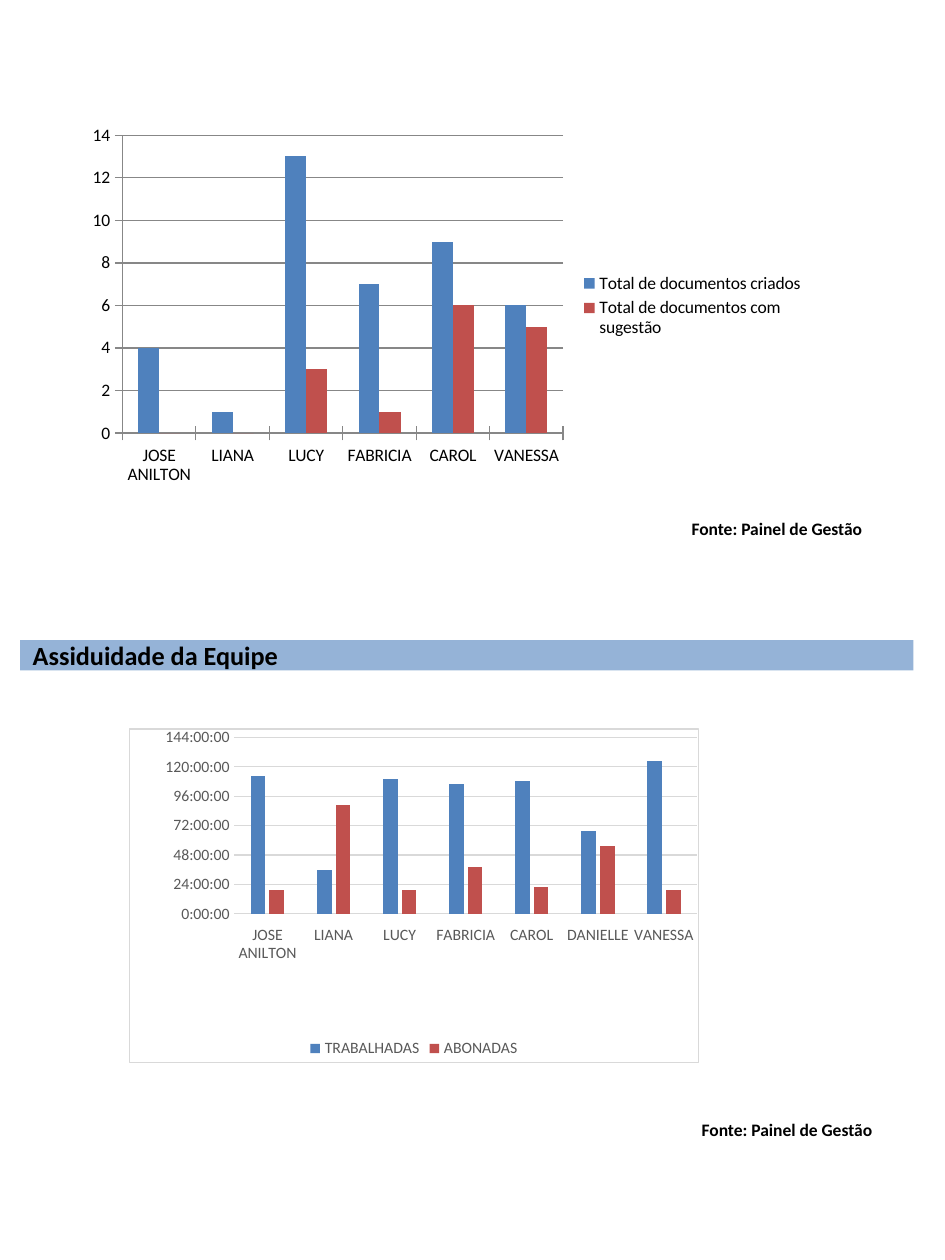
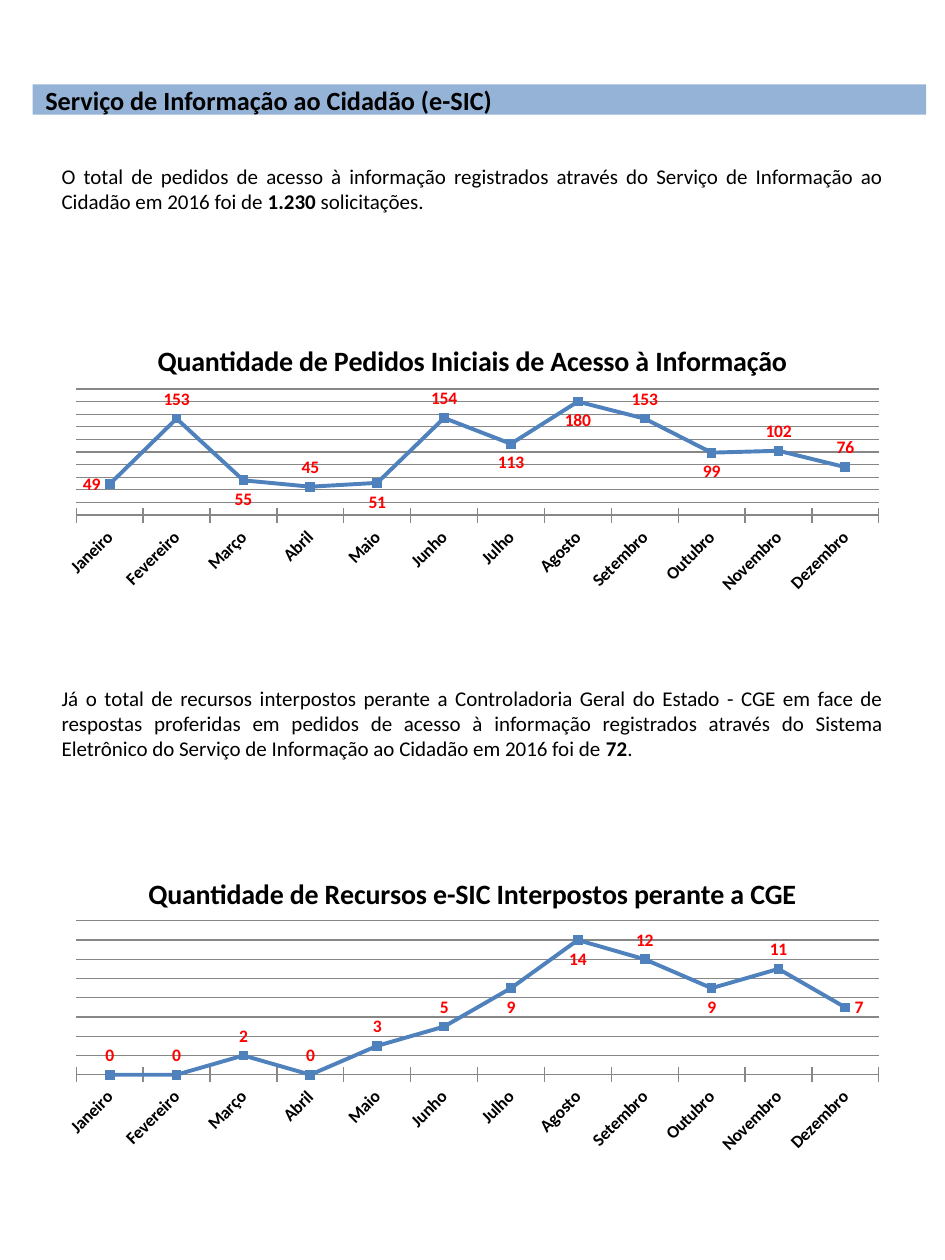
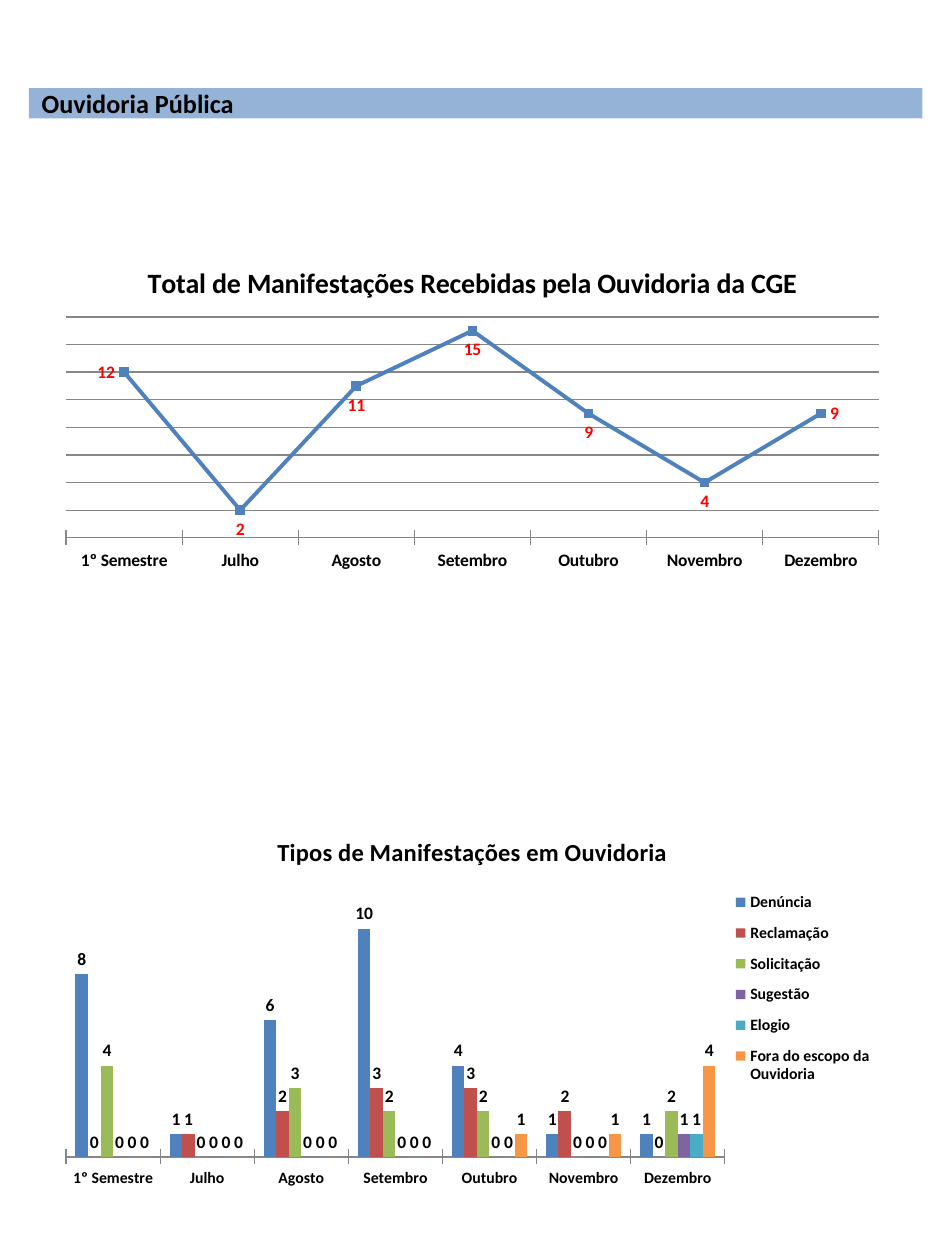
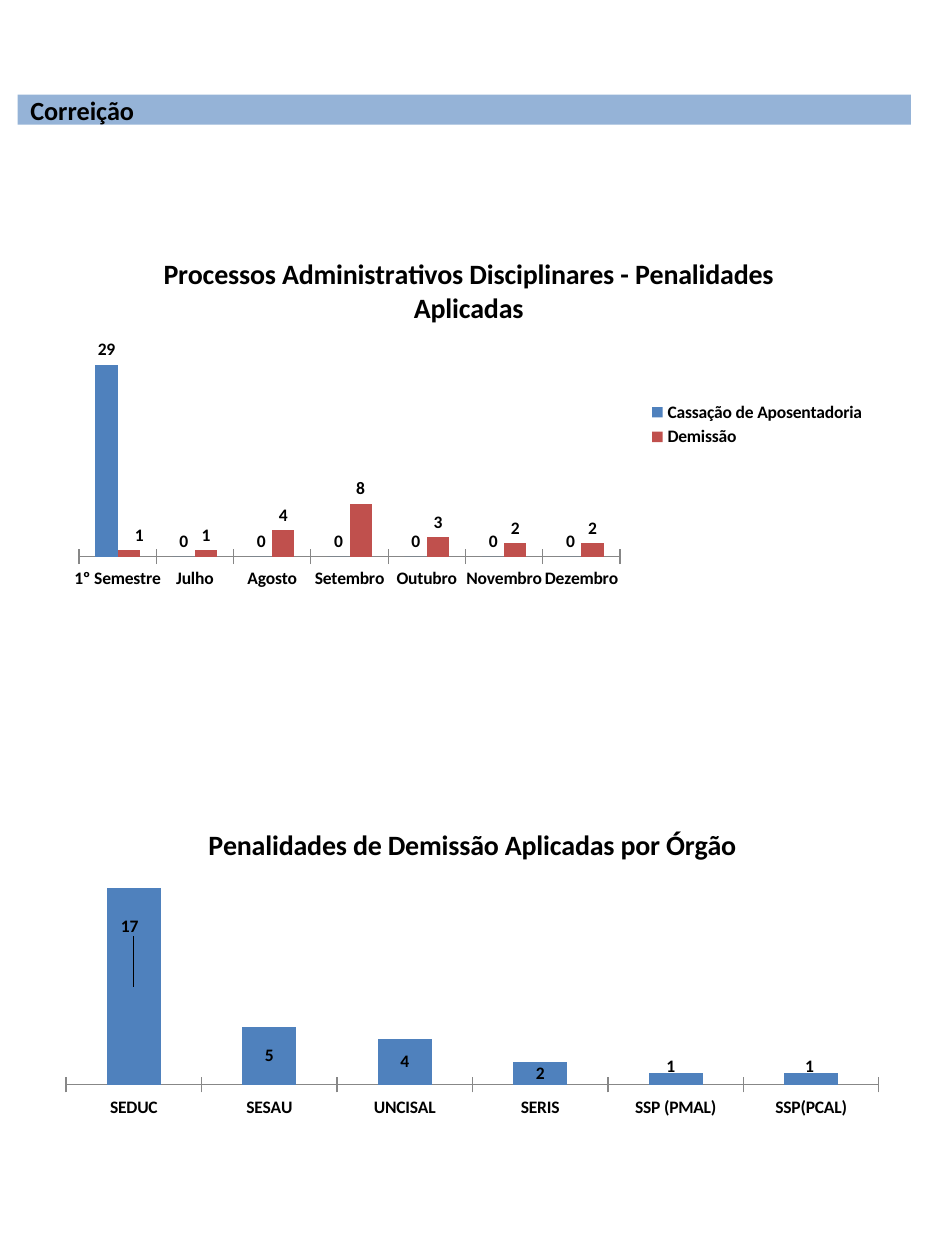
from lxml import etree
from pptx import Presentation
from pptx.chart.data import CategoryChartData
from pptx.dml.color import RGBColor
from pptx.enum.chart import (XL_CHART_TYPE, XL_LABEL_POSITION, XL_LEGEND_POSITION,
                             XL_MARKER_STYLE, XL_TICK_LABEL_POSITION, XL_TICK_MARK)
from pptx.enum.text import MSO_ANCHOR, MSO_AUTO_SIZE, PP_ALIGN
from pptx.oxml import parse_xml
from pptx.oxml.ns import nsdecls, qn
from pptx.util import Inches, Pt

COLUMNS = XL_CHART_TYPE.COLUMN_CLUSTERED
STACKED_COLUMNS = XL_CHART_TYPE.COLUMN_STACKED
LINE = XL_CHART_TYPE.LINE_MARKERS
STACKED_LINE = XL_CHART_TYPE.LINE_MARKERS_STACKED
RIGHT, BOTTOM = XL_LEGEND_POSITION.RIGHT, XL_LEGEND_POSITION.BOTTOM
LABEL_SIDES = {"A": XL_LABEL_POSITION.ABOVE, "B": XL_LABEL_POSITION.BELOW,
               "L": XL_LABEL_POSITION.LEFT, "R": XL_LABEL_POSITION.RIGHT}
OUTSIDE_END, CENTER = XL_LABEL_POSITION.OUTSIDE_END, XL_LABEL_POSITION.CENTER
CROSS, NO_TICK = XL_TICK_MARK.CROSS, XL_TICK_MARK.NONE
LOW = XL_TICK_LABEL_POSITION.LOW
SQUARE = XL_MARKER_STYLE.SQUARE

FONT = "Calibri"
COLORS = {"band": "95B3D7", "text": "000000", "label": "FF0000", "axis": "878787",
          "soft_line": "D9D9D9", "soft_text": "595959", "white": "FFFFFF"}
SERIES_COLORS = ["4F81BD", "C0504D", "9BBB59", "8064A2", "4BACC6", "F79646"]

SLIDE_W, SLIDE_H = 7.5, 10
BAND_W, BAND_H = 7.09, 0.24
LEFT, WIDTH = 0.39, 6.72  # main column of text and charts

# ---- Content ----
MONTHS = ["Janeiro", "Fevereiro", "Março", "Abril", "Maio", "Junho", "Julho",
          "Agosto", "Setembro", "Outubro", "Novembro", "Dezembro"]
PERIODS = ["1º Semestre"] + MONTHS[6:]
TEAM = ["JOSE ANILTON", "LIANA", "LUCY", "FABRICIA", "CAROL", "VANESSA"]
SOURCE = [("Fonte: Painel de Gestão", True)]
REQUESTS = "Quantidade de Pedidos Iniciais de Acesso à Informação"
APPEALS = "Quantidade de Recursos e-SIC Interpostos perante a CGE"
RECEIVED = "Total de Manifestações Recebidas pela Ouvidoria da CGE"
DISMISSALS = "Penalidades de Demissão Aplicadas por Órgão"

# Plot areas are shares of the chart: left, top, width, height.
SLIDES = [
    {"title": "Assiduidade da Equipe", "band": (0.16, 5.08),
     "sources": [(5.39, 4.06), (5.47, 8.83)],
     "charts": [
         {"kind": COLUMNS, "at": (0.62, 0.94, 5.86, 2.97), "cats": TEAM,
          "series": {"Total de documentos criados": [4, 1, 13, 7, 9, 6],
                     "Total de documentos com sugestão": [0, 0, 3, 1, 6, 5]},
          "scale": (14, 2), "plot": (0.06, 0.045, 0.597, 0.796),
          "show_values": True, "grid": True, "legend": RIGHT},
         {"kind": COLUMNS, "at": (1.02, 5.78, 4.53, 2.66),
          "cats": TEAM[:5] + ["DANIELLE"] + TEAM[5:],
          "series": {"TRABALHADAS": [4.7, 1.5, 4.6, 4.4, 4.5, 2.8, 5.2],
                     "ABONADAS": [0.8, 3.7, 0.8, 1.6, 0.9, 2.3, 0.8]},
          "scale": (6, 1), "plot": (0.185, 0.025, 0.812, 0.529),
          "show_values": True, "grid": True, "legend": BOTTOM, "legend_size": 9,
          "cat_size": 9, "format": "[h]:mm:ss;@", "gap": (219, -27), "soft": True},
     ]},
    {"title": "Serviço de Informação ao Cidadão (e-SIC)", "band": (0.26, 0.67),
     "texts": [
         (1.25, 0.5, [("O total de pedidos de acesso à informação registrados através do "
                       "Serviço de Informação ao Cidadão em 2016 foi de ", False),
                      ("1.230", True), (" solicitações.", False)]),
         (5.39, 0.71, [("Já o total de recursos interpostos perante a Controladoria Geral "
                        "do Estado - CGE em face de respostas proferidas em pedidos de "
                        "acesso à informação registrados através do Sistema Eletrônico do "
                        "Serviço de Informação ao Cidadão em 2016 foi de ", False),
                       ("72", True), (".", False)]),
     ],
     "charts": [
         {"kind": STACKED_LINE, "at": (LEFT, 2.58, WIDTH, 2.19), "cats": MONTHS,
          "title": REQUESTS, "scale": (200, 20), "plot": (0.032, 0.232, 0.948, 0.457),
          "series": {REQUESTS: [49, 153, 55, 45, 51, 154, 113, 180, 153, 99, 102, 76]},
          "sides": "LABABABBABAA", "grid": True, "cat_bold": True, "slanted": True},
         {"kind": LINE, "at": (LEFT, 6.8, WIDTH, 2.42), "cats": MONTHS,
          "title": APPEALS, "scale": (16, 2), "plot": (0.032, 0.21, 0.948, 0.505),
          "series": {APPEALS: [0, 0, 2, 0, 3, 5, 9, 14, 12, 9, 11, 7]},
          "sides": "AAAAAABBABAR", "grid": True, "cat_bold": True, "slanted": True},
     ]},
    {"title": "Ouvidoria Pública", "band": (0.23, 0.7),
     "charts": [
         {"kind": LINE, "at": (LEFT, 1.95, WIDTH, 2.63), "cats": PERIODS,
          "title": RECEIVED, "scale": (16, 2), "plot": (0.02, 0.215, 0.96, 0.667),
          "series": {RECEIVED: [12, 2, 11, 15, 9, 4, 9]},
          "sides": "LBBBBBR", "grid": True, "cat_bold": True},
         {"kind": COLUMNS, "at": (LEFT, 6.48, WIDTH, 3), "cats": PERIODS,
          "title": "Tipos de Manifestações em Ouvidoria", "title_size": 14,
          "scale": (12, 2), "plot": (0.02, 0.176, 0.778, 0.725),
          "series": {"Denúncia": [8, 1, 6, 10, 4, 1, 1],
                     "Reclamação": [0, 1, 2, 3, 3, 2, 0],
                     "Solicitação": [4, 0, 3, 2, 2, 0, 2],
                     "Sugestão": [0, 0, 0, 0, 0, 0, 1],
                     "Elogio": [0, 0, 0, 0, 0, 0, 1],
                     "Fora do escopo da Ouvidoria": [0, 0, 0, 0, 1, 1, 4]},
          "labels": OUTSIDE_END, "cat_size": 9, "cat_bold": True, "legend": RIGHT,
          "legend_size": 9, "legend_bold": True, "legend_at": (0.8, 0.17, 0.18, 0.57)},
     ]},
    {"title": "Correição", "band": (0.14, 0.75),
     "charts": [
         {"kind": COLUMNS, "at": (0.47, 1.87, 6.5, 3), "cats": PERIODS,
          "title": "Processos Administrativos Disciplinares - Penalidades Aplicadas",
          "scale": (35, 5), "plot": (0.024, 0.236, 0.661, 0.614),
          "series": {"Cassação de Aposentadoria": [29, 0, 0, 0, 0, 0, 0],
                     "Demissão": [1, 1, 4, 8, 3, 2, 2]},
          "labels": OUTSIDE_END, "shifts": {(1, 0): (0.013, 0)},
          "cat_bold": True, "legend": RIGHT, "legend_bold": True},
         {"kind": STACKED_COLUMNS, "at": (LEFT, 6.41, WIDTH, 2.51),
          "cats": ["SEDUC", "SESAU", "UNCISAL", "SERIS", "SSP (PMAL)", "SSP(PCAL)"],
          "title": DISMISSALS, "scale": (18, 2), "plot": (0.02, 0.219, 0.96, 0.658),
          "series": {DISMISSALS: [17, 5, 4, 2, 1, 1]},
          "labels": CENTER, "gap": (150, 100), "cat_bold": True,
          "shifts": {(0, 0): (-0.005, -0.19), (0, 4): (-0.006, -0.04),
                     (0, 5): (-0.002, -0.04)}},
     ]},
]


# ---- Helpers ----
def rgb(name):
    return RGBColor.from_string(COLORS.get(name, name))


def style(font, size, bold=False, color="text"):
    font.name, font.size, font.bold = FONT, Pt(size), bold
    font.color.rgb = rgb(color)


def place(shape, left, top, width, height):
    shape.left, shape.top = Inches(left), Inches(top)
    shape.width, shape.height = Inches(width), Inches(height)


def manual_layout(parent, sizes, inner=False, edge=True):
    """Give a chart part a manual layout, in shares of the chart."""
    for old in parent.findall(qn("c:layout")):
        parent.remove(old)
    layout = parse_xml(f"<c:layout {nsdecls('c')}><c:manualLayout/></c:layout>")
    values = [("layoutTarget", "inner")] if inner else []
    if edge:
        values += [("xMode", "edge"), ("yMode", "edge")]
    values += zip("xywh", sizes)
    for tag, value in values:
        etree.SubElement(layout[0], qn(f"c:{tag}")).set("val", str(value))
    return layout


def add_band(slide, text, left, top):
    band = slide.shapes.title
    place(band, left, top, BAND_W, BAND_H)
    band.fill.solid()
    band.fill.fore_color.rgb = rgb("band")
    frame = band.text_frame
    frame.text = text
    frame.auto_size = MSO_AUTO_SIZE.NONE
    frame.vertical_anchor = MSO_ANCHOR.MIDDLE
    frame.paragraphs[0].alignment = PP_ALIGN.LEFT
    style(frame.paragraphs[0].font, 15, True)


def add_text(slide, at, parts, size, wrap=True):
    frame = slide.shapes.add_textbox(*map(Inches, at)).text_frame
    frame.word_wrap = wrap
    frame.auto_size = MSO_AUTO_SIZE.SHAPE_TO_FIT_TEXT
    paragraph = frame.paragraphs[0]
    paragraph.alignment = PP_ALIGN.JUSTIFY if wrap else PP_ALIGN.LEFT
    style(paragraph.font, size)
    for text, bold in parts:
        run = paragraph.add_run()
        run.text = text
        style(run.font, size, bold)


def draw_line(line, color, width=0.75):
    line.color.rgb = rgb(color)
    line.width = Pt(width)


def format_axes(chart, info):
    soft = info.get("soft", False)
    text_color, line_color = ("soft_text", "soft_line") if soft else ("text", "axis")
    size = info.get("cat_size", 10)
    categories, values = chart.category_axis, chart.value_axis
    for axis in (categories, values):
        axis.major_tick_mark = NO_TICK if soft else CROSS
        axis.minor_tick_mark = NO_TICK
        draw_line(axis.format.line, line_color)
    categories.tick_label_position = LOW
    style(categories.tick_labels.font, size, info.get("cat_bold", False), text_color)
    if info.get("slanted"):
        chart.element.xpath(".//c:catAx/c:txPr/a:bodyPr")[0].set("rot", "-2700000")

    values.minimum_scale = 0
    values.maximum_scale, values.major_unit = info["scale"]
    values.visible = info.get("show_values", False)
    values.has_major_gridlines = info.get("grid", False)
    if info.get("grid"):
        draw_line(values.major_gridlines.format.line, line_color)
    if values.visible:
        style(values.tick_labels.font, size, False, text_color)
        values.tick_labels.number_format = info.get("format", "General")
        values.tick_labels.number_format_is_linked = False
    if soft:
        values.format.line.fill.background()


def format_series(plot, info):
    for series, color in zip(plot.series, SERIES_COLORS):
        if "sides" in info:
            series.smooth = False
            draw_line(series.format.line, color, 2.25)
            series.marker.style, series.marker.size = SQUARE, 5
            series.marker.format.fill.solid()
            series.marker.format.fill.fore_color.rgb = rgb(color)
            draw_line(series.marker.format.line, color)
            for index, side in enumerate(info["sides"]):
                label = series.points[index].data_label
                style(label.font, 10, True, "label")
                label.position = LABEL_SIDES[side]
        else:
            series.format.fill.solid()
            series.format.fill.fore_color.rgb = rgb(color)
            series.invert_if_negative = False
        if "labels" in info:
            series.data_labels.show_value = True
            series.data_labels.position = info["labels"]
            style(series.data_labels.font, 10, True)
    for (row, index), shift in info.get("shifts", {}).items():
        label = plot.series[row].points[index].data_label
        style(label.font, 10, True)
        label.position = info["labels"]
        entry = plot.series[row].data_labels._element.xpath(
            f"c:dLbl[c:idx/@val='{index}']")[0]
        entry.find(qn("c:idx")).addnext(manual_layout(entry, shift, edge=False))


def add_legend(chart, info):
    chart.has_legend = True
    legend = chart.legend
    legend.position, legend.include_in_layout = info["legend"], False
    style(legend.font, info.get("legend_size", 10), info.get("legend_bold", False),
          "soft_text" if info.get("soft") else "text")
    if "legend_at" in info:
        element = chart.element.xpath(".//c:legend")[0]
        layout = manual_layout(element, info["legend_at"])
        element.find(qn("c:legendPos")).addnext(layout)


def add_chart(slide, info):
    data = CategoryChartData()
    data.categories = info["cats"]
    for name, numbers in info["series"].items():
        data.add_series(name, numbers)
    chart = slide.shapes.add_chart(info["kind"], *map(Inches, info["at"]), data).chart
    style(chart.font, 10)

    chart.has_title = "title" in info
    if chart.has_title:
        frame = chart.chart_title.text_frame
        frame.text = info["title"]
        style(frame.paragraphs[0].font, info.get("title_size", 16), True)

    plot = chart.plots[0]
    plot.vary_by_categories = False
    if "sides" not in info:
        plot.gap_width, plot.overlap = info.get("gap", (150, 0))
    format_axes(chart, info)
    format_series(plot, info)
    chart.has_legend = False
    if "legend" in info:
        add_legend(chart, info)

    plot_area = chart.element.xpath(".//c:plotArea")[0]
    plot_area.insert(0, manual_layout(plot_area, info["plot"], inner=True))
    if info.get("soft"):
        frame_xml = (f'<c:spPr {nsdecls("c", "a")}><a:solidFill><a:srgbClr '
                     f'val="{COLORS["white"]}"/></a:solidFill><a:ln w="9525"><a:solidFill>'
                     f'<a:srgbClr val="{COLORS["soft_line"]}"/></a:solidFill></a:ln></c:spPr>')
        chart.element.find(qn("c:txPr")).addprevious(parse_xml(frame_xml))


# ---- Slides ----
def main():
    deck = Presentation()
    deck.slide_width, deck.slide_height = Inches(SLIDE_W), Inches(SLIDE_H)
    title_only = deck.slide_layouts[5]
    for content in SLIDES:
        slide = deck.slides.add_slide(title_only)
        add_band(slide, content["title"], *content["band"])
        for top, height, parts in content.get("texts", []):
            add_text(slide, (LEFT, top, WIDTH, height), parts, 12)
        for info in content["charts"]:
            add_chart(slide, info)
        for left, top in content.get("sources", []):
            add_text(slide, (left, top, 1.61, 0.27), SOURCE, 10, wrap=False)
    deck.save("out.pptx")


if __name__ == "__main__":
    main()
